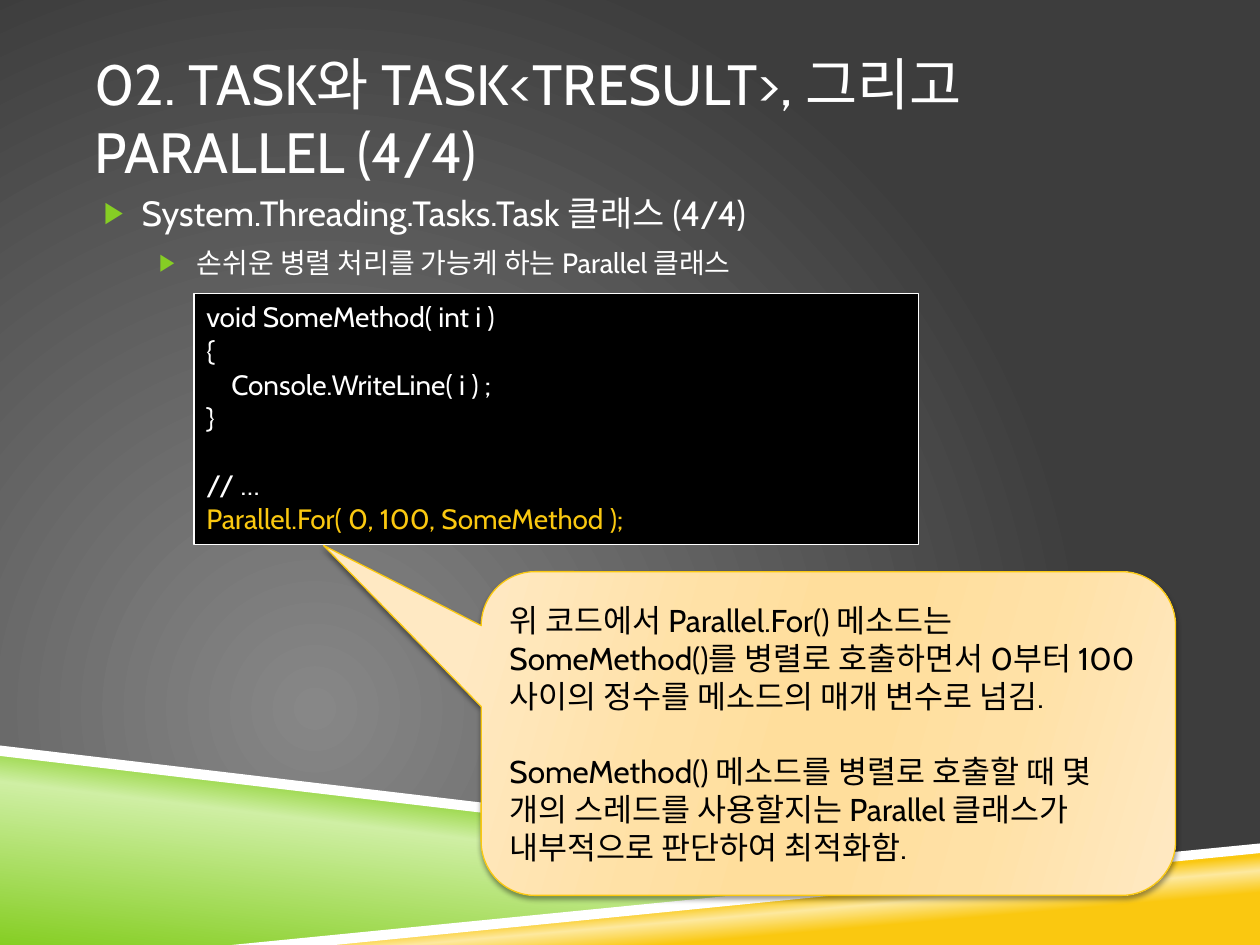
from dataclasses import dataclass

from lxml.etree import SubElement
from pptx import Presentation
from pptx.dml.color import RGBColor
from pptx.enum.shapes import MSO_SHAPE
from pptx.enum.text import MSO_ANCHOR, MSO_AUTO_SIZE, PP_ALIGN
from pptx.oxml.ns import qn
from pptx.util import Pt


@dataclass(frozen=True)
class Theme:
    font: str = "Cabin"
    white: str = "FFFFFF"
    black: str = "000000"
    green: str = "86CE24"
    yellow: str = "FAC810"
    backdrop: tuple = ((0, "878787"), (100, "3D3D3D"))
    green_sheen: tuple = ((0, "86CE24"), (52, "CFEFA4"), (66, "86CE24"))
    yellow_sheen: tuple = ((28, "FAC810"), (40, "FDE99F"), (48, "FAC810"))
    cream: tuple = ((0, "FFE9C3"), (30, "FFE1A6"), (45, "FFDE9C"),
                    (55, "FFDE9C"), (73, "FFE1A6"), (100, "FFE9C3"))
    title_size: float = 32.4
    heading_size: float = 20
    code_size: float = 16
    note_size: float = 18


theme = Theme()


def set_gradient(owner, fill, stops, angle=None):
    """Fill with colour stops: linear at an angle, or circular without one."""
    fill.gradient()
    gradient = next(owner.element.iter(qn("a:gradFill")))
    for child in list(gradient):
        gradient.remove(child)
    stop_list = SubElement(gradient, qn("a:gsLst"))
    for position, color in stops:
        stop = SubElement(stop_list, qn("a:gs"), pos=str(position * 1000))
        SubElement(stop, qn("a:srgbClr"), val=color)
    if angle is None:
        circle = SubElement(gradient, qn("a:path"), path="circle")
        SubElement(circle, qn("a:fillToRect"), l="50000", t="100000", r="100000", b="50000")
    else:
        SubElement(gradient, qn("a:lin"), ang=str(angle * 60000), scaled="0")


def write_lines(shape, lines, size, color, anchor=MSO_ANCHOR.TOP):
    """Write one left-aligned paragraph per line and return the paragraphs."""
    frame = shape.text_frame
    frame.word_wrap = True
    frame.vertical_anchor = anchor
    frame.text = "\n".join(lines)
    for para in frame.paragraphs:
        para.alignment = PP_ALIGN.LEFT
        para.font.name = theme.font
        para.font.size = Pt(size)
        para.font.color.rgb = RGBColor.from_string(color)
    return frame.paragraphs


deck = Presentation()
deck.slide_width, deck.slide_height = Pt(720), Pt(540)
page = deck.slides.add_slide(deck.slide_layouts[6])
shapes = page.shapes

# Background
set_gradient(page, page.background.fill, theme.backdrop)

# Coloured wedges and white bands along the bottom
bands = [
    ([(0, 430), (570, 498), (144, 540), (0, 540)], theme.green_sheen, 277),
    ([(142.5, 540), (720, 484), (720, 540)], theme.yellow_sheen, 265),
    ([(0, 426), (0, 432), (569, 499), (599, 497)], None, None),
    ([(720, 482), (132.5, 540), (191.5, 540), (720, 487.5)], None, None),
]
for corners, sheen, angle in bands:
    points = [(Pt(x), Pt(y)) for x, y in corners]
    builder = shapes.build_freeform(*points[0], scale=1.0)
    builder.add_line_segments(points[1:], close=True)
    band = builder.convert_to_shape()
    band.shadow.inherit = False
    band.line.fill.background()
    if sheen:
        set_gradient(band, band.fill, sheen, angle)
    else:
        band.fill.solid()
        band.fill.fore_color.rgb = RGBColor.from_string(theme.white)

# Title and bulleted headings
title = shapes.add_textbox(Pt(54), Pt(21.6), Pt(612), Pt(90))
write_lines(title, ["02. TASK와 TASK<TRESULT>, 그리고 PARALLEL (4/4)"],
            theme.title_size, theme.white, MSO_ANCHOR.MIDDLE)
body = shapes.add_textbox(Pt(54), Pt(105.8), Pt(612), Pt(319.7))
headings = write_lines(body, ["System.Threading.Tasks.Task 클래스 (4/4)",
                              "손쉬운 병렬 처리를 가능케 하는 Parallel 클래스"],
                       theme.heading_size, theme.white)
for box in (title, body):
    box.text_frame.margin_left = box.text_frame.margin_right = 0
headings[1].level = 1
headings[1].font.size = Pt(theme.code_size)
for para, margin in zip(headings, (27, 58.5)):
    para.space_before = Pt(7)
    properties = para._p.get_or_add_pPr()
    properties.set("marL", str(Pt(margin)))
    properties.set("indent", str(Pt(-21.6)))
    bullet_color = SubElement(properties, qn("a:buClr"))
    SubElement(bullet_color, qn("a:srgbClr"), val=theme.green)
    SubElement(properties, qn("a:buSzPct"), val="85000")
    SubElement(properties, qn("a:buFont"), typeface="Arial")
    SubElement(properties, qn("a:buChar"), char="▶")
    # Bullet settings must come before the default run properties
    default_run = properties.find(qn("a:defRPr"))
    properties.append(default_run)

# Code sample
code = shapes.add_shape(MSO_SHAPE.RECTANGLE, Pt(110.8), Pt(167.8), Pt(414), Pt(143.3))
code.shadow.inherit = False
code.fill.solid()
code.fill.fore_color.rgb = RGBColor.from_string(theme.black)
code.line.color.rgb = RGBColor.from_string(theme.white)
code.line.width = Pt(0.75)
code_lines = write_lines(code, ["void SomeMethod( int i )", "{", "Console.WriteLine( i ) ;", "}",
                                "// …", "Parallel.For( 0, 100, SomeMethod );"],
                         theme.code_size, theme.white)
code.text_frame.auto_size = MSO_AUTO_SIZE.SHAPE_TO_FIT_TEXT
code_lines[2]._p.get_or_add_pPr().set("marL", str(Pt(14.3)))
code_lines[4].space_before = Pt(19.2)
code_lines[5].font.color.rgb = RGBColor.from_string(theme.yellow)

# Callout pointing at the last code line
callout = shapes.add_shape(MSO_SHAPE.ROUNDED_RECTANGULAR_CALLOUT,
                           Pt(275), Pt(326.7), Pt(396.8), Pt(185))
for index, value in enumerate((-0.727, -0.581, 0.167)):
    callout.adjustments[index] = value
set_gradient(callout, callout.fill, theme.cream, 16)
callout.line.color.rgb = RGBColor.from_string(theme.yellow)
callout.line.width = Pt(0.75)
callout.shadow.inherit = False
effects = callout.element.spPr.find(qn("a:effectLst"))
shadow = SubElement(effects, qn("a:outerShdw"), blurRad=str(Pt(3)), dist=str(Pt(2)),
                    dir=str(90 * 60000), rotWithShape="0")
shadow_color = SubElement(shadow, qn("a:srgbClr"), val=theme.black)
SubElement(shadow_color, qn("a:alpha"), val="40000")
notes = write_lines(callout, [
    "위 코드에서 Parallel.For() 메소드는 SomeMethod()를 병렬로 호출하면서 "
    "0부터 100 사이의 정수를 메소드의 매개 변수로 넘김.",
    "SomeMethod() 메소드를 병렬로 호출할 때 몇 개의 스레드를 사용할지는 "
    "Parallel 클래스가 내부적으로 판단하여 최적화함.",
], theme.note_size, theme.black, MSO_ANCHOR.MIDDLE)
notes[1].space_before = Pt(21.5)

deck.save("out.pptx")
